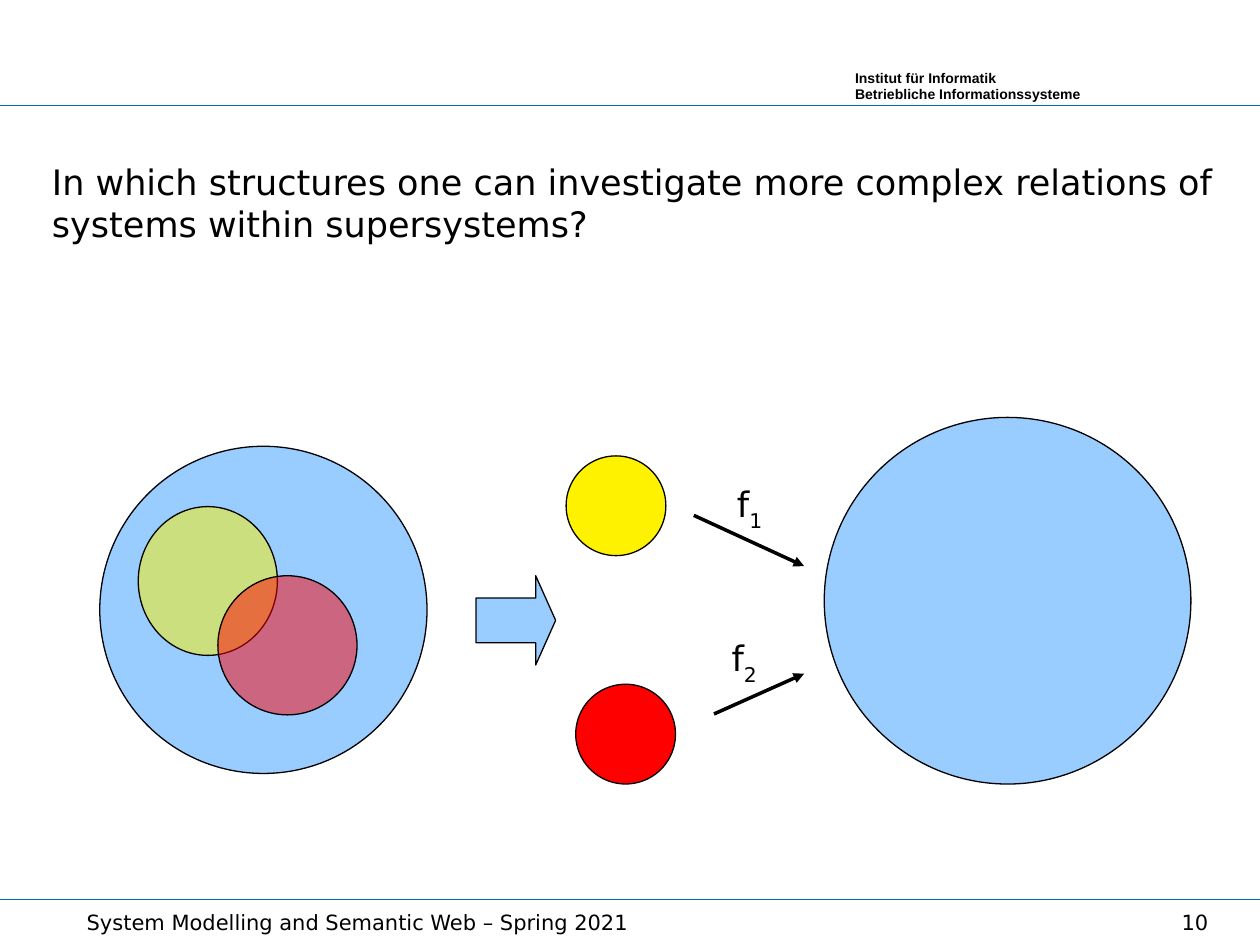
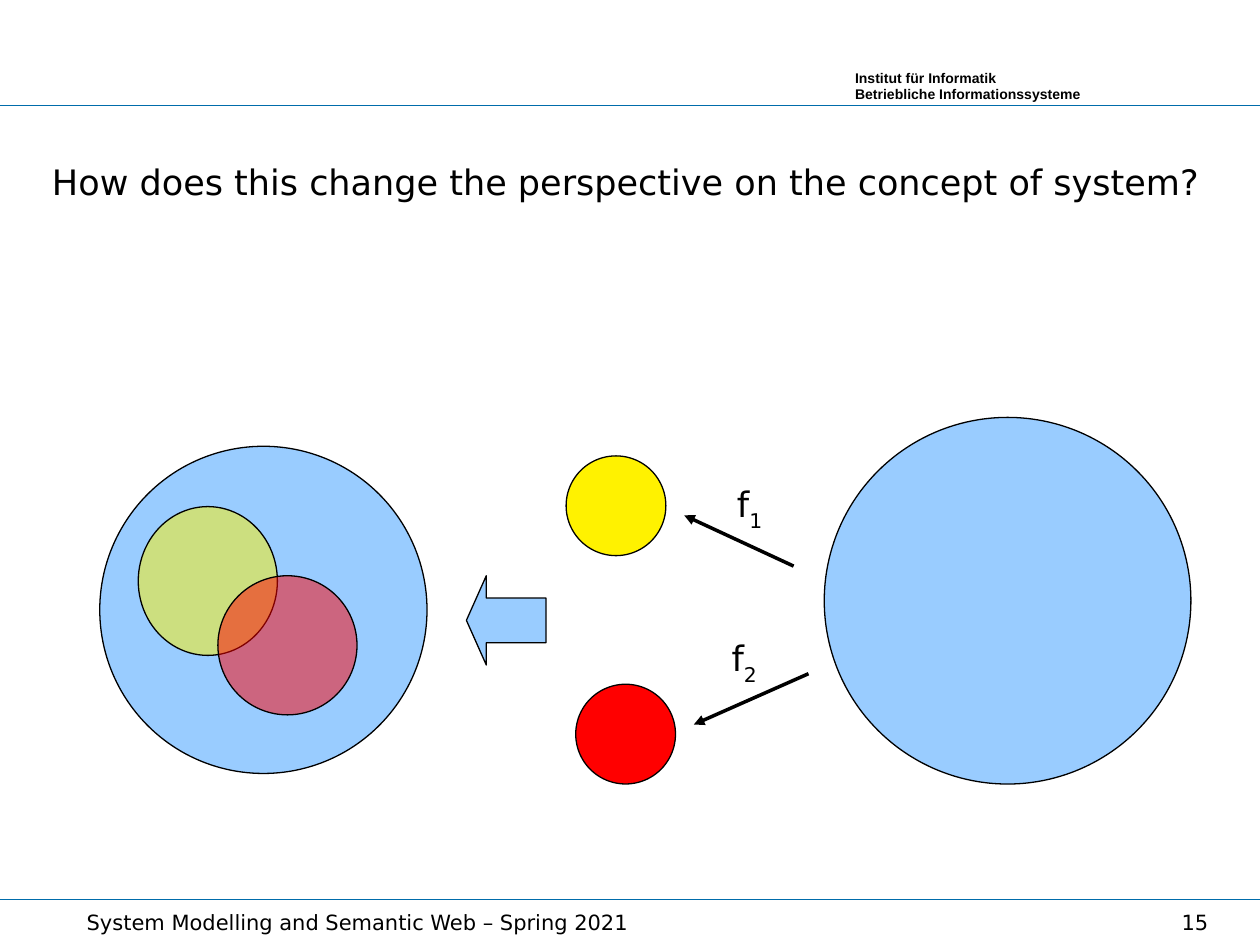
"""Builds two slides on systems, their supersystem and the maps between them."""
import pptx
import pptx.dml.color
import pptx.enum.shapes
import pptx.enum.text
import pptx.oxml.ns
import pptx.util
from lxml import etree

Pt = pptx.util.Pt
SHAPE = pptx.enum.shapes.MSO_SHAPE
ALIGN = pptx.enum.text.PP_ALIGN
qn = pptx.oxml.ns.qn

COLORS = {"rule": "006CAB", "text": "000000", "system": "99CCFF",
          "first": "FFF200", "second": "FF0000"}
FONT = "DejaVu Sans"
WIDTH, HEIGHT = 720, 540
RULES_Y = (60.5, 514)
INSTITUTE = "Institut für Informatik\nBetriebliche Informationssysteme"
COURSE = "System Modelling and Semantic Web – Spring 2021"

CIRCLES = [
    ((57, 255, 187, 187), "system", None),
    ((79, 289.5, 79.5, 85), "first", 50),
    ((124.5, 329, 79.5, 79.5), "second", 50),
    ((471, 238.5, 209.5, 209.5), "system", None),
    ((323.5, 260.5, 57, 57), "first", None),
    ((329, 391, 57, 57), "second", None),
]
MAP_LABELS = [("f", "1", 414, 272), ("f", "2", 411, 360)]

SLIDES = [
    {"title": "In which structures one can investigate more complex relations "
              "of systems within supersystems?",
     "number": 10,
     "block_arrow": (SHAPE.RIGHT_ARROW, 272),
     "maps": [(396.5, 294.5, 459.5, 323.5), (408, 408, 459.5, 385)]},
    {"title": "How does this change the perspective on the concept of system?",
     "number": 15,
     "block_arrow": (SHAPE.LEFT_ARROW, 266.5),
     "maps": [(453.5, 323.5, 391, 294.5), (462, 385, 396.5, 414)]},
]


def rgb(name):
    return pptx.dml.color.RGBColor.from_string(COLORS[name])


def style(p, size, font=FONT, bold=False, align=ALIGN.LEFT):
    p.alignment = align
    p.font.name, p.font.size, p.font.bold = font, Pt(size), bold
    p.font.color.rgb = rgb("text")


def add_text(s, box, text, size, **kw):
    tf = s.shapes.add_textbox(*map(Pt, box)).text_frame
    tf.word_wrap = True
    p = tf.paragraphs[0]
    p.text = text
    style(p, size, **kw)
    return p


def add_line(s, ends, color, width, arrow=False):
    sp = s.shapes.add_connector(
        pptx.enum.shapes.MSO_CONNECTOR.STRAIGHT, *map(Pt, ends))
    sp.line.color.rgb = rgb(color)
    sp.line.width = Pt(width)
    if arrow:
        etree.SubElement(sp.line._get_or_add_ln(), qn("a:tailEnd"), type="triangle")
    etree.SubElement(sp._element.spPr, qn("a:effectLst"))


def add_figure(s, kind, box, color, opacity=None):
    sp = s.shapes.add_shape(kind, *map(Pt, box))
    sp.shadow.inherit = False
    sp.fill.solid()
    sp.fill.fore_color.rgb = rgb(color)
    sp.line.color.rgb = rgb("text")
    sp.line.width = Pt(0)
    if opacity is not None:
        clr = sp._element.spPr.find(qn("a:solidFill")).find(qn("a:srgbClr"))
        etree.SubElement(clr, qn("a:alpha"), val=str(opacity * 1000))
    return sp


def add_frame(s, title, number):
    for y in RULES_Y:
        add_line(s, (0, y, WIDTH, y), "rule", 0.5)
    add_text(s, (481.5, 36, 189.5, 26.5), INSTITUTE, 8, font="Arial", bold=True)
    add_text(s, (42.5, 516, 402, 24), COURSE, 12)
    add_text(s, (643.5, 516, 54, 24), str(number), 12, align=ALIGN.RIGHT)
    sp = s.shapes.title
    sp.left, sp.top, sp.width, sp.height = map(Pt, (22.5, 88, 680.5, 133))
    tf = sp.text_frame
    tf.text = title
    tf.word_wrap = True
    tf.auto_size = pptx.enum.text.MSO_AUTO_SIZE.NONE
    tf.vertical_anchor = pptx.enum.text.MSO_ANCHOR.TOP
    style(tf.paragraphs[0], 20)


def add_diagram(s, block_arrow, maps):
    for box, color, opacity in CIRCLES:
        add_figure(s, SHAPE.OVAL, box, color, opacity)
    for ends in maps:
        add_line(s, ends, "text", 0, arrow=True)
    for name, index, x, y in MAP_LABELS:
        p = add_text(s, (x, y, 51, 36), name, 20)
        r = p.add_run()
        r.text = index
        r._r.get_or_add_rPr().set("baseline", "-33000")
    kind, x = block_arrow
    sp = add_figure(s, kind, (x, 329, 45.5, 51), "system")
    sp.adjustments[0], sp.adjustments[1] = 0.5, 0.25


def main():
    prs = pptx.Presentation()
    prs.slide_width, prs.slide_height = Pt(WIDTH), Pt(HEIGHT)
    for item in SLIDES:
        s = prs.slides.add_slide(prs.slide_layouts.get_by_name("Title Only"))
        add_frame(s, item["title"], item["number"])
        add_diagram(s, item["block_arrow"], item["maps"])
    prs.save("out.pptx")


if __name__ == "__main__":
    main()
